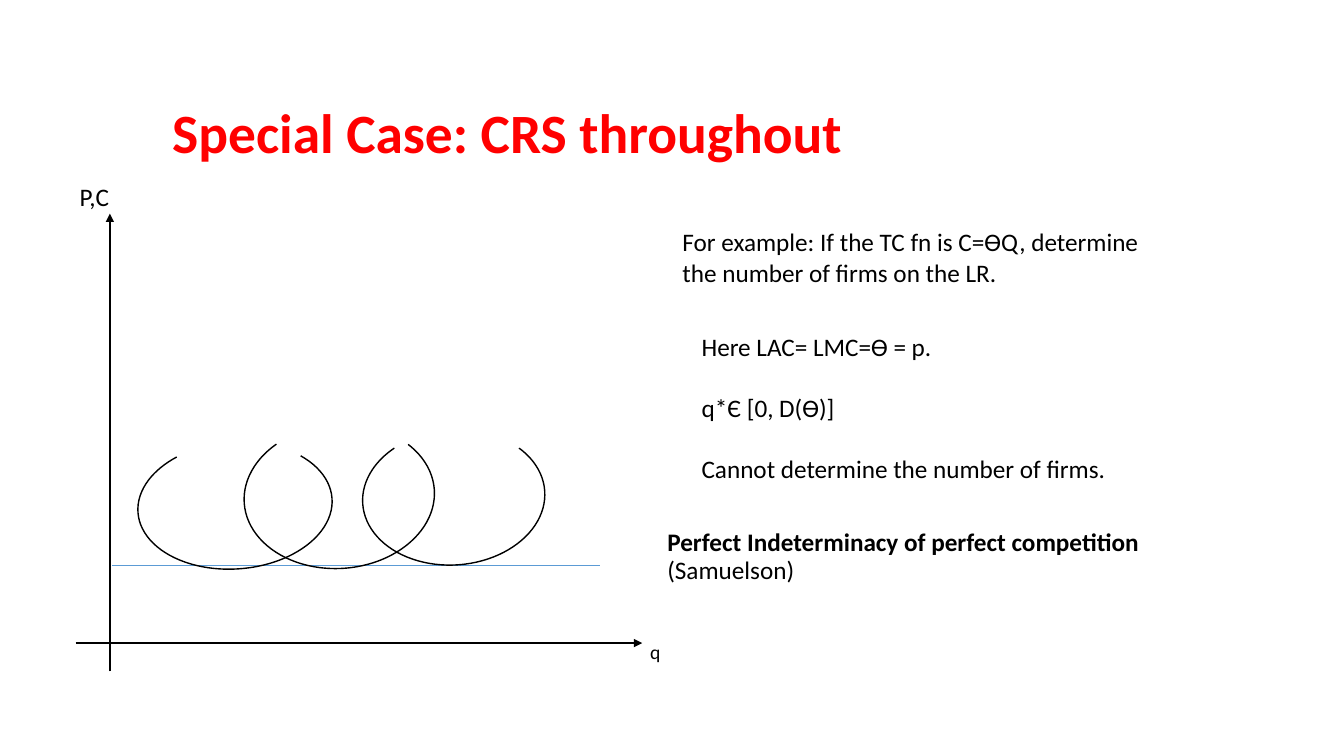
from dataclasses import dataclass
from pptx import Presentation
from pptx.dml.color import RGBColor
from pptx.enum.shapes import MSO_CONNECTOR, MSO_SHAPE
from pptx.enum.text import MSO_ANCHOR
from pptx.oxml.ns import qn
from pptx.util import Inches, Pt
from lxml.etree import SubElement


@dataclass(frozen=True)
class Theme:
    font: str = "Calibri"
    red: str = "FF0000"
    ink: str = "000000"
    blue: str = "5B9BD5"
    head: float = 39.6
    body: float = 18
    small: float = 14
    thin: float = 1
    thick: float = 1.5


T = Theme()


def place(box, left, top):
    return Inches(box[0] + left), Inches(box[1] + top)


def write(slide, box, rows, size=T.body, color=T.ink, space=None,
          after=0, anchor=MSO_ANCHOR.TOP):
    frame = slide.shapes.add_textbox(*map(Inches, box)).text_frame
    frame.word_wrap = True
    frame.vertical_anchor = anchor
    for i, runs in enumerate(rows):
        para = frame.add_paragraph() if i else frame.paragraphs[0]
        para.line_spacing = space
        para.space_after = Pt(after)
        for text, bold in runs:
            run = para.add_run()
            run.text = text
            run.font.name = T.font
            run.font.size = Pt(size)
            run.font.bold = bold
            run.font.color.rgb = RGBColor.from_string(color)


def stroke(shape, color, width):
    shape.line.color.rgb = RGBColor.from_string(color)
    shape.line.width = Pt(width)


def rule(slide, start, end, color=T.ink, width=T.thick, arrow=True):
    line = slide.shapes.add_connector(MSO_CONNECTOR.STRAIGHT, *start, *end)
    stroke(line, color, width)
    if arrow:
        SubElement(line.line._get_or_add_ln(), qn("a:tailEnd"), type="triangle")
    SubElement(line._element.spPr, qn("a:effectLst"))


def curve(slide, start, width, height):
    arc = slide.shapes.add_shape(
        MSO_SHAPE.ARC, *start, Inches(width), Inches(height))
    arc.adjustments[0] = 142.28
    arc.adjustments[1] = 80.35
    arc.rotation = 85.8
    arc.shadow.inherit = False
    arc.fill.background()
    stroke(arc, T.ink, T.thin)


def title(slide, box):
    write(slide, box, [[("Special Case: CRS throughout", True)]],
          size=T.head, color=T.red, space=0.9, anchor=MSO_ANCHOR.MIDDLE)


def graph(slide, box):
    left, top = box
    rule(slide, place(box, 0.42, 3.86), place(box, 5.26, 3.86),
         color=T.blue, width=T.thin, arrow=False)
    rule(slide, place(box, 0.06, 4.63), place(box, 5.68, 4.63))
    rule(slide, place(box, 0.4, 4.91), place(box, 0.4, 0.37))
    write(slide, (left, top, 0.62, 0.4), [[("P,C", False)]])
    write(slide, (left + 5.66, top + 4.55, 0.3, 0.34),
          [[("q", False)]], size=T.small)
    for x, y, wide, high in ((1.01, 2.3, 1.26, 1.93),
                             (1.96, 2.23, 1.43, 1.89),
                             (3.14, 2.28, 1.34, 1.81)):
        curve(slide, place(box, x, y), wide, high)


def notes(slide, box):
    left, top = box
    write(slide, (left + 0.15, top, 4.78, 0.71),
          [[("For example: If the TC fn is C=ϴQ, determine "
             "the number of firms on the LR.", False)]])
    steps = ("Here LAC= LMC=ϴ = p.", "q*Є [0, D(ϴ)]",
             "Cannot determine the number of firms.")
    write(slide, (left + 0.34, top + 1.04, 4.41, 1.62),
          [[(step, False)] for step in steps], after=22)
    write(slide, (left, top + 3.01, 5.95, 0.93),
          [[("Perfect Indeterminacy of perfect competition ", True),
            ("(Samuelson)", False)]], space=0.9)


deck = Presentation()
deck.slide_width, deck.slide_height = Inches(13.33), Inches(7.5)
slide = deck.slides.add_slide(deck.slide_layouts[6])
title(slide, (1.61, 1.08, 10.78, 0.53))
graph(slide, (0.69, 1.75))
notes(slide, (6.52, 2.2))
deck.save("out.pptx")
